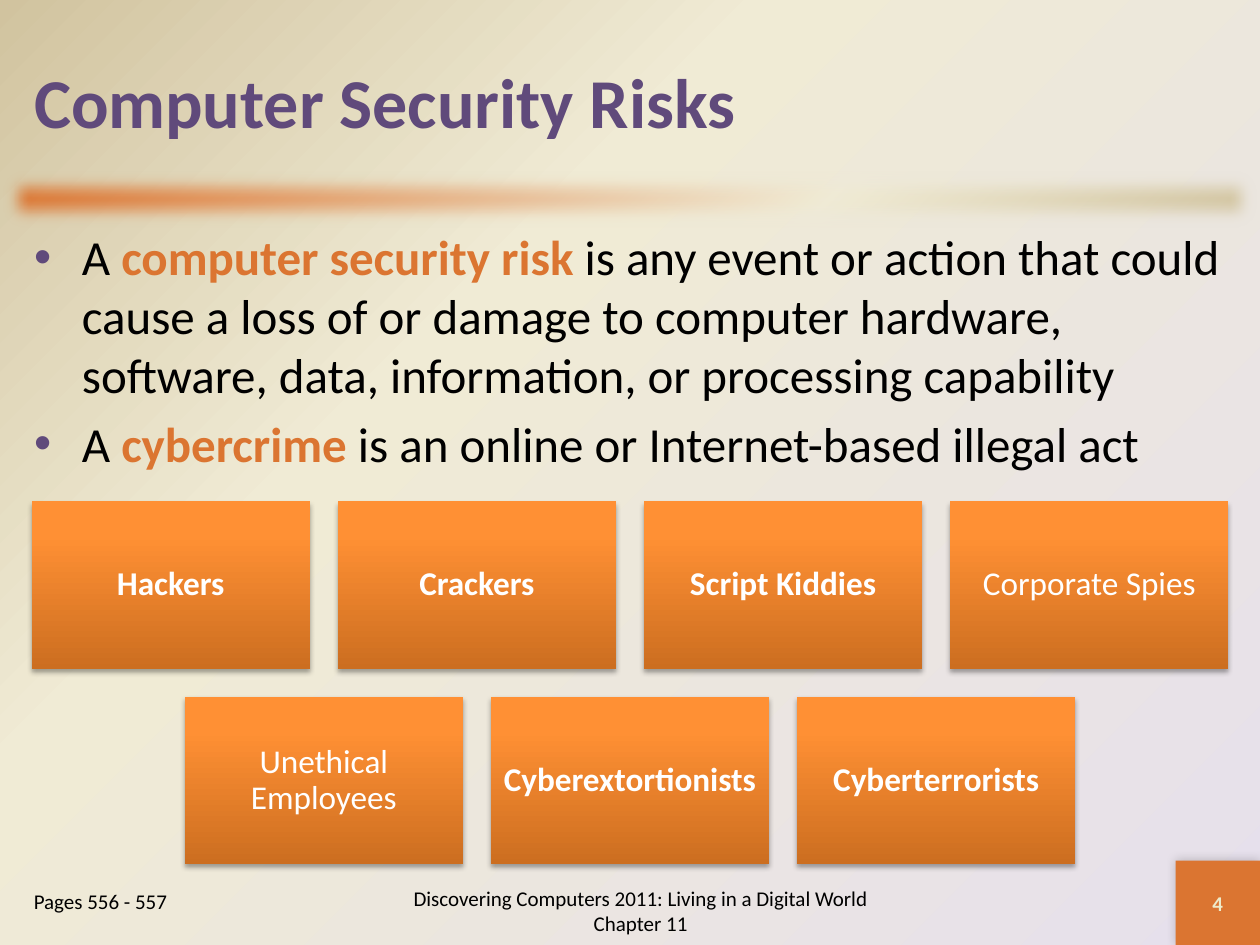
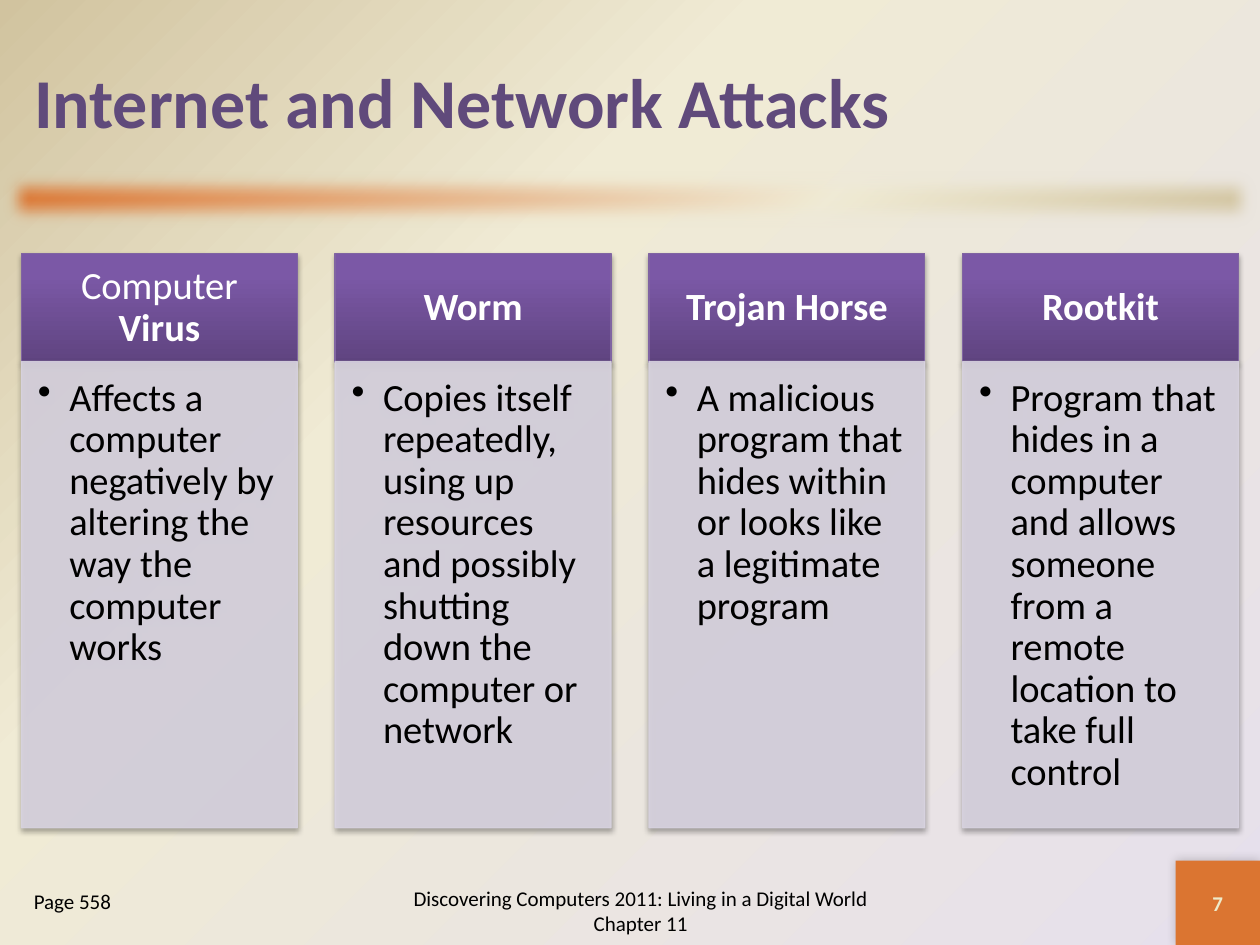
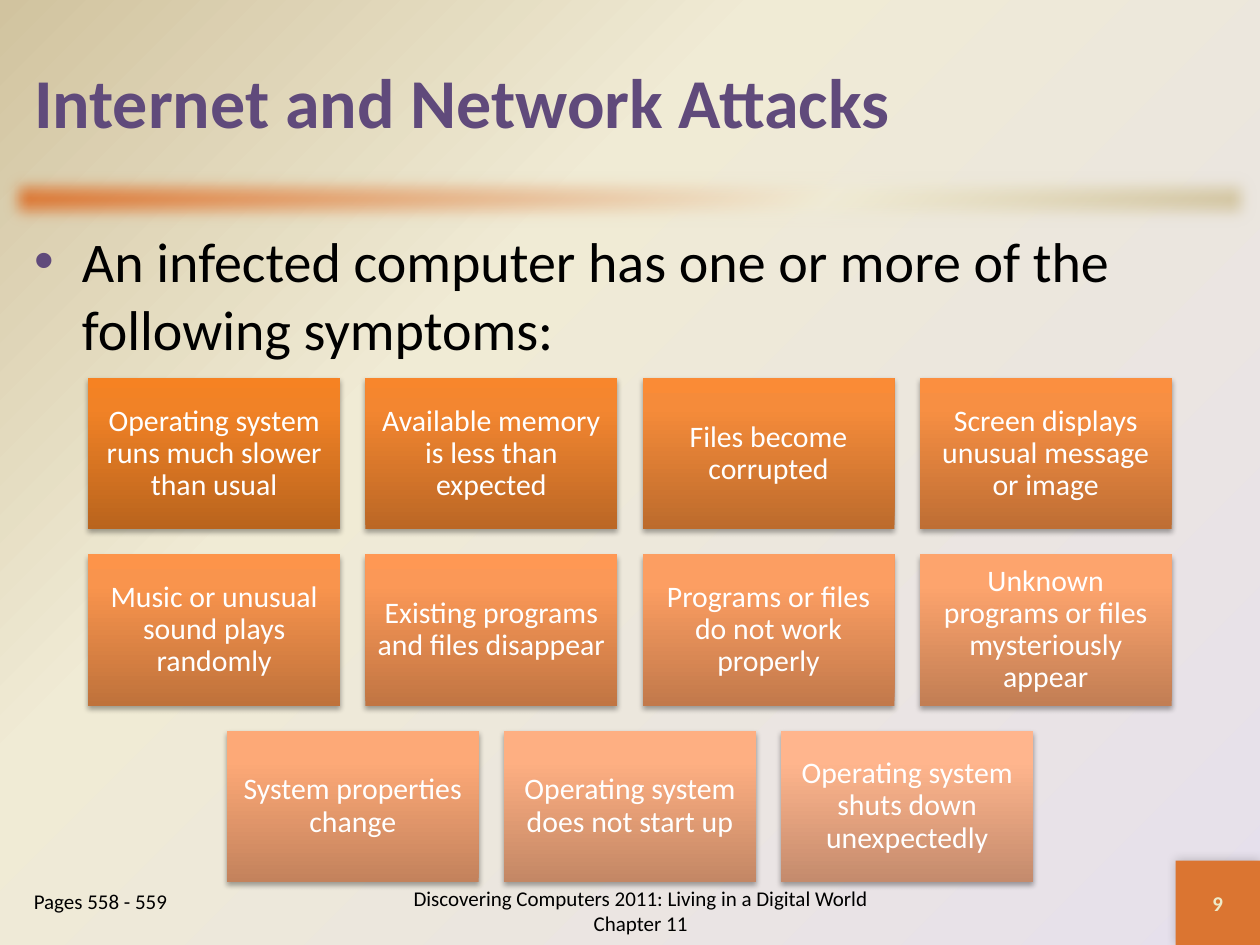
from lxml import etree
from pptx import Presentation
from pptx.dml.color import RGBColor
from pptx.enum.shapes import MSO_SHAPE
from pptx.enum.text import MSO_ANCHOR, MSO_AUTO_SIZE, PP_ALIGN
from pptx.oxml import parse_xml
from pptx.oxml.ns import nsdecls, qn
from pptx.util import Inches, Pt

FONT = "Calibri"
PURPLE = RGBColor(0x60, 0x4A, 0x7B)
ORANGE = RGBColor(0xDB, 0x75, 0x31)
CREAM = RGBColor(0xEE, 0xEB, 0xCA)
BLACK = RGBColor(0x00, 0x00, 0x00)
WHITE = RGBColor(0xFF, 0xFF, 0xFF)
HEADER_LINE = RGBColor(0x80, 0x64, 0xA2)
PANEL = RGBColor(0xD8, 0xD3, 0xE0)

# Gradient stops: position in percent and colour
BACKGROUND_STOPS = [(0, "E6E0EC"), (65, "F0EBD5"), (100, "D1C39F")]
BAR_STOPS = [(0, ORANGE)] + BACKGROUND_STOPS[1:]
RISK_STOPS = [(0, "CC6E20"), (80, "FF9034"), (100, "FF9136")]
HEADER_STOPS = [(0, "5F4480"), (80, "7B58A6"), (100, "7C57A8")]

UPWARD = '<a:lin ang="16200000" scaled="0"/>'
DIAGONAL = '<a:lin ang="2700000" scaled="0"/>'
FROM_CORNER = '<a:path path="circle"><a:fillToRect l="100000" t="100000"/></a:path>'

# Shadows: blur, distance (points), direction (degrees), opacity (percent)
BOX_SHADOW = (3.1, 1.8, 90, 35)
SQUARE_SHADOW = (6, 0, 225, 20)

FOOTER = "Discovering Computers 2011: Living in a Digital World Chapter 11"


def paint_gradient(fill, holder, stops, direction):
    """Give the fill, whose XML lies inside holder, any number of stops."""
    fill.gradient()
    old = next(holder.iter(qn("a:gradFill")))
    stop_xml = "".join(f'<a:gs pos="{position * 1000}"><a:srgbClr val="{color}"/></a:gs>'
                       for position, color in stops)
    old.getparent().replace(old, parse_xml(
        f'<a:gradFill rotWithShape="1" {nsdecls("a")}><a:gsLst>{stop_xml}</a:gsLst>'
        f'{direction}</a:gradFill>'))


def add_box(slide, left, top, width, height, runs=(), size=12, color=BLACK,
            stops=None, solid=None, direction=UPWARD, shadow=None,
            insets=(0.1, 0.05, 0.1, 0.05), alignment=PP_ALIGN.CENTER,
            anchor=MSO_ANCHOR.MIDDLE, line_spacing=1.0):
    """Add a rectangle, or a text box when there is no fill; runs are (text, bold)."""
    position = [Inches(value) for value in (left, top, width, height)]
    if stops or solid:
        shape = slide.shapes.add_shape(MSO_SHAPE.RECTANGLE, *position)
        shape.shadow.inherit = False
        shape.line.fill.background()
    else:
        shape = slide.shapes.add_textbox(*position)
    if stops:
        paint_gradient(shape.fill, shape.element.spPr, stops, direction)
    elif solid:
        shape.fill.solid()
        shape.fill.fore_color.rgb = solid
    if shadow:
        blur, distance, angle, opacity = shadow
        shape.element.spPr.find(qn("a:effectLst")).append(parse_xml(
            f'<a:outerShdw blurRad="{Pt(blur)}" dist="{Pt(distance)}" dir="{angle * 60000}" '
            f'rotWithShape="0" {nsdecls("a")}><a:srgbClr val="000000">'
            f'<a:alpha val="{opacity * 1000}"/></a:srgbClr></a:outerShdw>'))
    frame = shape.text_frame
    frame.word_wrap = True
    frame.vertical_anchor = anchor
    (frame.margin_left, frame.margin_top,
     frame.margin_right, frame.margin_bottom) = [Inches(inset) for inset in insets]
    paragraph = frame.paragraphs[0]
    paragraph.alignment = alignment
    paragraph.line_spacing = line_spacing
    for text, bold in runs:
        run = paragraph.add_run()
        run.text = text
        run.font.name, run.font.size, run.font.bold = FONT, Pt(size), bold
        run.font.color.rgb = color
    return shape


presentation = Presentation()
presentation.slide_width, presentation.slide_height = Inches(10), Inches(7.5)
master = presentation.slide_master

# Slide contents: title, page number, page label, body size, body paragraphs
slide_contents = [
    ("Computer Security Risks", "4", "Pages 556 - 557", 28, [
        [("A ", False), ("computer security risk ", True),
         ("is any event or action that could cause a loss of or damage to computer "
          "hardware, software, data, information, or processing capability", False)],
        [("A ", False), ("cybercrime", True),
         (" is an online or Internet-based illegal act", False)]]),
    ("Internet and Network Attacks", "7", "Page 558", 0, []),
    ("Internet and Network Attacks", "9", "Pages 558 - 559", 32, [
        [("An infected computer has one or more of the following symptoms:", False)]]),
]

# Titles, body lists and footers
slides = []
for title, number, pages, body_size, body in slide_contents:
    slide = presentation.slides.add_slide(presentation.slide_layouts[1 if body else 5])
    slides.append(slide)
    heading = slide.shapes.title
    heading.left, heading.top = Inches(0.17), Inches(0.17)
    heading.width, heading.height = Inches(9.67), Inches(1.25)
    heading.text_frame.text = title
    heading.text_frame.vertical_anchor = MSO_ANCHOR.MIDDLE
    paragraph = heading.text_frame.paragraphs[0]
    paragraph.alignment = PP_ALIGN.LEFT
    font = paragraph.runs[0].font
    font.name, font.size, font.bold = FONT, Pt(40), True
    font.color.rgb = PURPLE

    if body:
        placeholder = slide.placeholders[1]
        placeholder.left, placeholder.top = Inches(0.17), Inches(1.75)
        placeholder.width, placeholder.height = Inches(9.67), Inches(5.08)
        frame = placeholder.text_frame
        frame.auto_size = MSO_AUTO_SIZE.NONE
        for index, runs in enumerate(body):
            paragraph = frame.add_paragraph() if index else frame.paragraphs[0]
            paragraph.space_before = Pt(body_size * 0.2 if index else 0)
            properties = paragraph._p.get_or_add_pPr()
            properties.set("marL", str(Inches(0.38)))
            properties.set("indent", str(-Inches(0.38)))
            bullet_color = etree.SubElement(properties, qn("a:buClr"))
            etree.SubElement(bullet_color, qn("a:srgbClr"), val=str(PURPLE))
            etree.SubElement(properties, qn("a:buChar"), char="•")
            for text, is_term in runs:
                run = paragraph.add_run()
                run.text = text
                run.font.name, run.font.size, run.font.bold = FONT, Pt(body_size), is_term
                run.font.color.rgb = ORANGE if is_term else BLACK

    add_box(slide, 3, 6.95, 4.17, 0.55, [(FOOTER, False)])
    add_box(slide, 9.33, 6.83, 0.67, 0.67, [(number, True)], color=CREAM)
    add_box(slide, 0.17, 7, 1.83, 0.5, [(pages, False)],
            alignment=PP_ALIGN.LEFT, anchor=MSO_ANCHOR.TOP)

# Master: background, soft bar under the title, square behind the number
paint_gradient(master.background.fill, master.element, BACKGROUND_STOPS, FROM_CORNER)
bar = add_box(slides[0], 0, 1.33, 10, 0.5, stops=BAR_STOPS, direction=DIAGONAL)
etree.SubElement(bar.element.spPr.find(qn("a:effectLst")), qn("a:softEdge"),
                 rad=str(Pt(10)))
square = add_box(slides[0], 9.33, 6.83, 0.67, 0.67, solid=ORANGE, shadow=SQUARE_SHADOW)
for index, shape in enumerate((bar, square)):
    master.shapes.element.insert(2 + index, shape.element)

# Symptom tiles fade from strong to pale orange through three anchors
fade_anchors = [("B9641D", "F18226", "F68222"),
                ("C17543", "FB9857", "FF9854"),
                ("C48B6D", "FFB58D", "FFB68F")]
symptom_stops = []
for index in range(11):
    segment = min(index // 5, 1)
    share = index / 5 - segment
    stops = []
    for position, start, end in zip((0, 80, 100), fade_anchors[segment],
                                    fade_anchors[segment + 1]):
        channels = [round(a + (b - a) * share) for a, b in
                    zip(RGBColor.from_string(start), RGBColor.from_string(end))]
        stops.append((position, RGBColor(*channels)))
    symptom_stops.append(stops)

# Tile grids: each row is centred on the slide
risk_rows = [
    [("Hackers", True), ("Crackers", True), ("Script Kiddies", True),
     ("Corporate Spies", False)],
    [("Unethical Employees", False), ("Cyberextortionists", True),
     ("Cyberterrorists", True)],
]
symptom_rows = [
    [("Operating system runs much slower than usual", False),
     ("Available memory is less than expected", False),
     ("Files become corrupted", False),
     ("Screen displays unusual message or image", False)],
    [("Music or unusual sound plays randomly", False),
     ("Existing programs and files disappear", False),
     ("Programs or files do not work properly", False),
     ("Unknown programs or files mysteriously appear", False)],
    [("System properties change", False),
     ("Operating system does not start up", False),
     ("Operating system shuts down unexpectedly", False)],
]
grids = [
    (slides[0], risk_rows, 3.98, 2.21, 1.33, 0.22, 19, 0.08, [RISK_STOPS] * 7),
    (slides[2], symptom_rows, 3, 2, 1.2, 0.2, 17, 0.07, symptom_stops),
]
for slide, rows, grid_top, width, height, gap, size, inset, tile_stops in grids:
    remaining_stops = iter(tile_stops)
    for row_index, row in enumerate(rows):
        row_left = (10 - len(row) * width - (len(row) - 1) * gap) / 2
        for column_index, tile in enumerate(row):
            add_box(slide, row_left + column_index * (width + gap),
                    grid_top + row_index * (height + gap), width, height, [tile], size,
                    WHITE, stops=next(remaining_stops), shadow=BOX_SHADOW,
                    insets=[inset] * 4, line_spacing=0.9)

# Attack columns: header and translucent panel
attacks = [
    ([("Computer ", False), ("Virus", True)],
     "Affects a computer negatively by altering the way the computer works"),
    ([("Worm", True)],
     "Copies itself repeatedly, using up resources and possibly shutting down the "
     "computer or network"),
    ([("Trojan Horse", True)],
     "A malicious program that hides within or looks like a legitimate program"),
    ([("Rootkit", True)],
     "Program that hides in a computer and allows someone from a remote location to "
     "take full control"),
]
for index, (name_runs, description) in enumerate(attacks):
    left = 0.17 + index * 2.49
    header = add_box(slides[1], left, 2.01, 2.19, 0.87, name_runs, 22, WHITE,
                     stops=HEADER_STOPS, shadow=BOX_SHADOW,
                     insets=(0.17, 0.1, 0.17, 0.1), line_spacing=0.9)
    panel = add_box(slides[1], left, 2.87, 2.19, 3.7, [(description, False)], 22,
                    solid=PANEL, shadow=BOX_SHADOW, insets=(0.13, 0.13, 0.17, 0.19),
                    alignment=PP_ALIGN.LEFT, anchor=MSO_ANCHOR.TOP, line_spacing=0.9)
    for shape, line_color in ((header, HEADER_LINE), (panel, PANEL)):
        shape.line.color.rgb = line_color
        shape.line.width = Pt(0.75)
    for solid_fill in panel.element.spPr.iter(qn("a:solidFill")):
        etree.SubElement(solid_fill[0], qn("a:alpha"), val="90000")
    properties = panel.text_frame.paragraphs[0]._p.get_or_add_pPr()
    properties.set("marL", str(Inches(0.25)))
    properties.set("indent", str(-Inches(0.25)))
    etree.SubElement(properties, qn("a:buChar"), char="•")

presentation.save("out.pptx")
